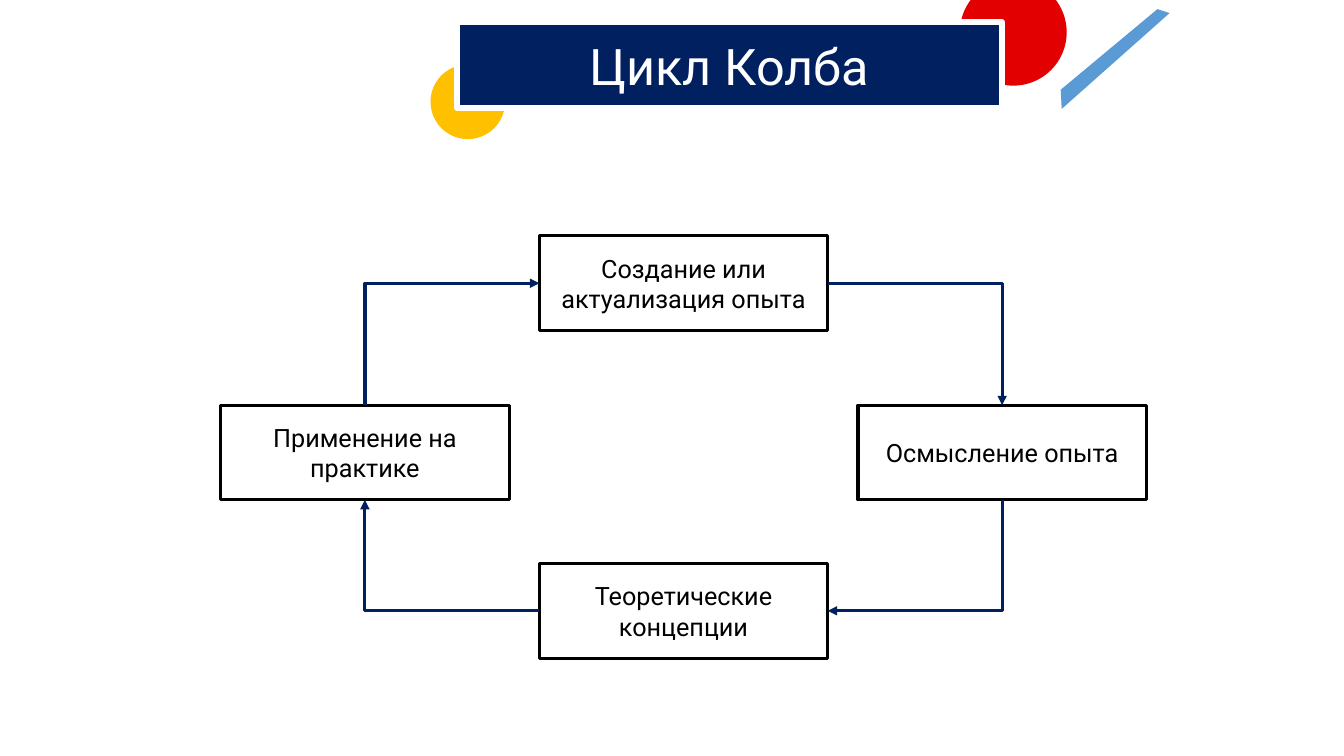
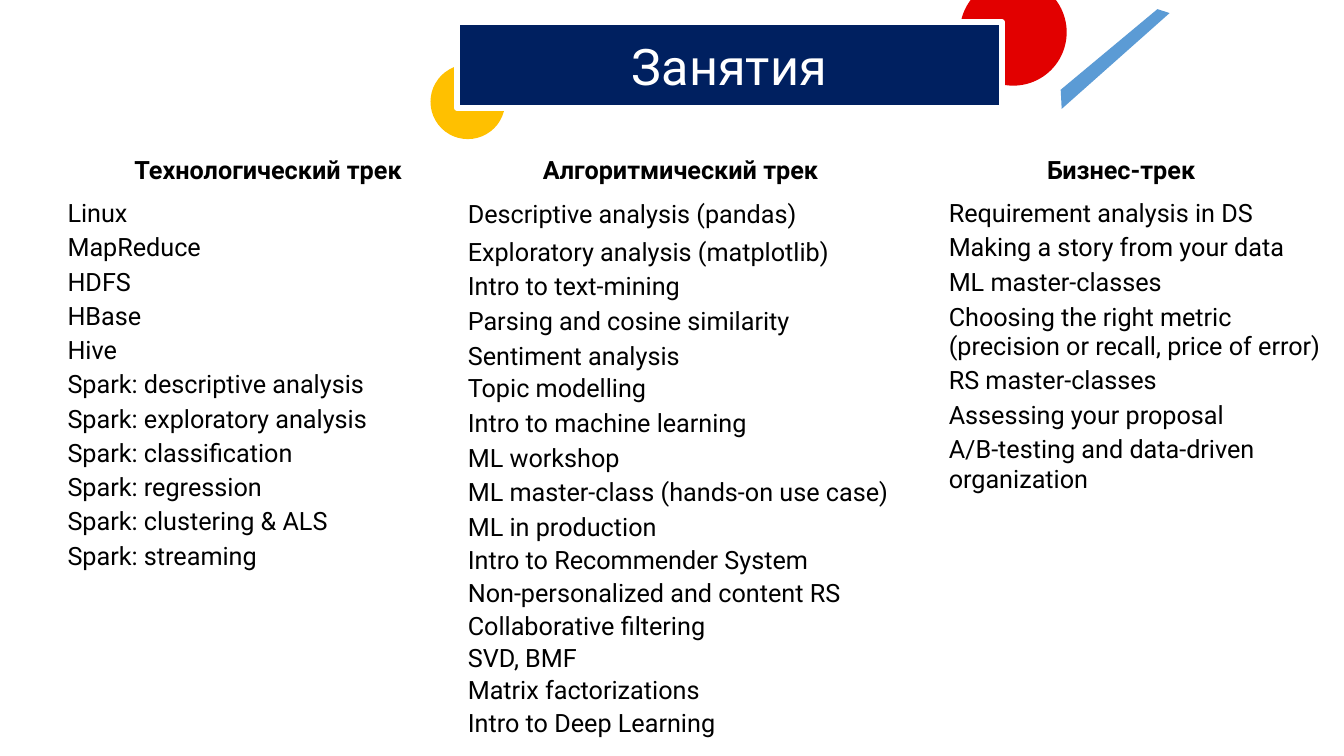
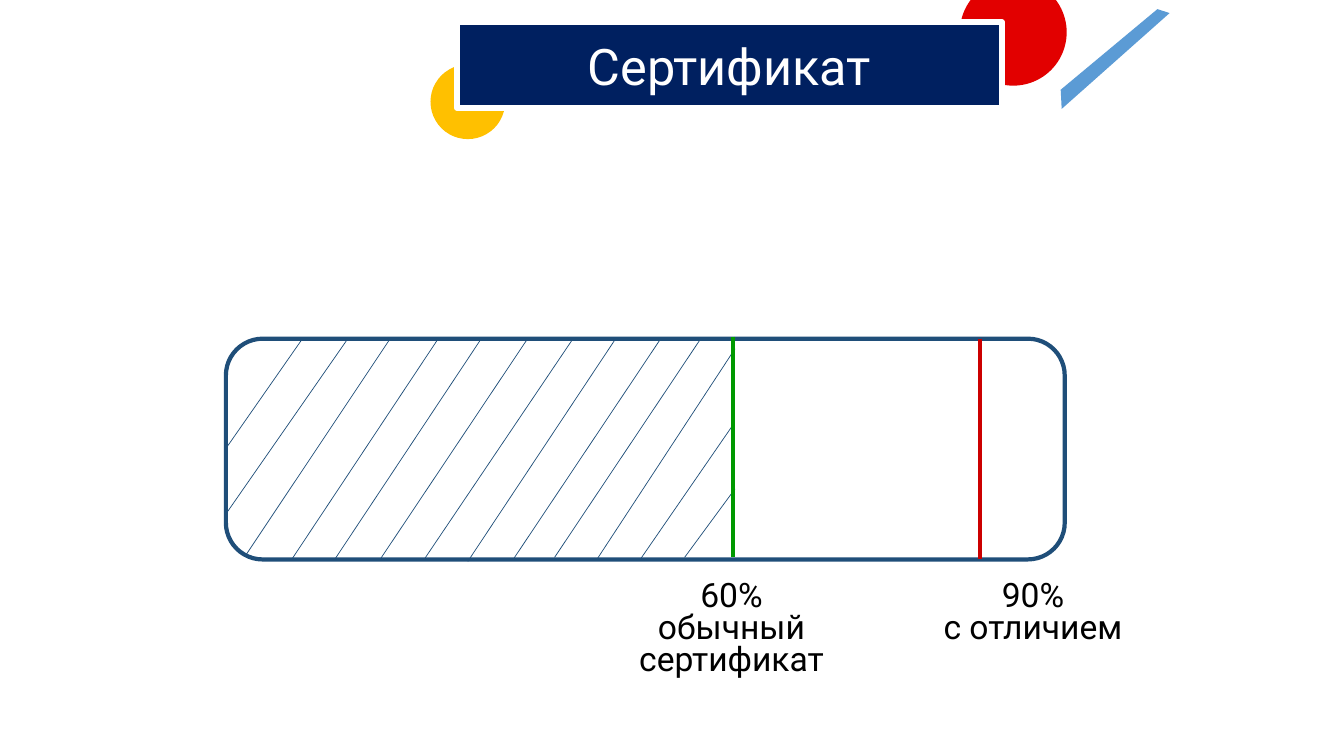
from pptx import Presentation
from pptx.dml.color import RGBColor
from pptx.enum.shapes import MSO_CONNECTOR, MSO_SHAPE
from pptx.enum.text import MSO_ANCHOR, MSO_AUTO_SIZE, PP_ALIGN
from pptx.oxml.ns import qn
from pptx.util import Inches, Pt
from lxml.etree import SubElement

FONT = "Roboto"
NAVY, STEEL, SKY = "002060", "1F4E79", "5B9BD5"
AMBER, RED = "FFC000", "E20000"
PASS_GREEN, HONOURS_RED = "009900", "CC0000"
BLACK, WHITE = "000000", "FFFFFF"

BANNER = (4.53, 0.22, 5.41, 0.85)
STRIPE = [(11.48, 0.09), (11.6, 0.13), (10.53, 1.08), (10.52, 0.89)]
TOP, LEFT, BOTTOM, RIGHT = range(4)

ROW = 0.34
SHORT, MEDIUM, TALL = 0.32, 0.33, 0.37
TECHNOLOGY = [
    "Linux", "MapReduce", "HDFS", "HBase", "Hive",
    "Spark: descriptive analysis", "Spark: exploratory analysis",
    "Spark: classification", "Spark: regression",
    "Spark: clustering & ALS", "Spark: streaming",
]
ALGORITHMS = [
    ("Descriptive analysis (pandas)", TALL),
    ("Exploratory analysis (matplotlib)", TALL),
    ("Intro to text-mining", SHORT),
    ("Parsing and cosine similarity", TALL),
    ("Sentiment analysis", SHORT),
    ("Topic modelling", SHORT),
    ("Intro to machine learning", TALL),
    ("ML workshop", SHORT),
    ("ML master-class (hands-on use case)", TALL),
    ("ML in production", SHORT),
    ("Intro to Recommender System", MEDIUM),
    ("Non-personalized and content RS", MEDIUM),
    ("Collaborative filtering", SHORT),
    ("SVD, BMF", SHORT),
    ("Matrix factorizations", SHORT),
    ("Intro to Deep Learning", SHORT),
]
BUSINESS = [
    "Requirement analysis in DS", "Making a story from your data",
    "ML master-classes",
    "Choosing the right metric (precision or recall, price of error)",
    "RS master-classes", "Assessing your proposal",
    "A/B-testing and data-driven organization",
]

# Lower and upper end of each hatch line, from the bar's top left corner
HATCHING = [
    (0, 1.09, 0.76, 0), (0, 1.74, 1.21, 0), (0.19, 2.16, 1.63, 0),
    (0.66, 2.18, 2.1, 0.01), (1.08, 2.19, 2.52, 0.02),
    (1.53, 2.19, 2.98, 0.02), (1.96, 2.2, 3.43, 0.02),
    (2.4, 2.21, 3.86, 0.01), (2.85, 2.19, 4.3, 0.02),
    (3.26, 2.17, 4.71, 0), (3.68, 2.19, 5.05, 0.1),
    (4.11, 2.19, 5.02, 0.87), (4.55, 2.17, 5.05, 1.49),
]


def rgb(value):
    return RGBColor.from_string(value)


def inches(*lengths):
    return [Inches(length) for length in lengths]


def paint(shape, fill=None, line=None, weight=1):
    if fill:
        shape.fill.solid()
        shape.fill.fore_color.rgb = rgb(fill)
    else:
        shape.fill.background()
    if line:
        shape.line.color.rgb = rgb(line)
        shape.line.width = Pt(weight)
    else:
        shape.line.fill.background()


def add_block(slide, preset, box, **look):
    block = slide.shapes.add_shape(preset, *inches(*box))
    block.shadow.inherit = False
    paint(block, **look)
    return block


def write(frame, lines, size, color=BLACK, bold=False,
          align=PP_ALIGN.CENTER, spacing=None):
    frame.word_wrap = True
    for index, line in enumerate(lines):
        paragraph = frame.add_paragraph() if index else frame.paragraphs[0]
        paragraph.alignment = align
        if spacing:
            paragraph.line_spacing = spacing
        run = paragraph.add_run()
        run.text = line
        run.font.name, run.font.size, run.font.bold = FONT, Pt(size), bold
        run.font.color.rgb = rgb(color)


def add_label(slide, box, lines, size, **style):
    label = slide.shapes.add_textbox(*inches(*box))
    write(label.text_frame, lines, size, **style)


def style_connector(connector, color, weight):
    connector.line.color.rgb = rgb(color)
    connector.line.width = Pt(weight)
    SubElement(connector.element.spPr, qn("a:effectLst"))


def add_line(slide, ends, color, weight):
    line = slide.shapes.add_connector(MSO_CONNECTOR.STRAIGHT, *inches(*ends))
    style_connector(line, color, weight)


def add_titled_slide(prs, heading):
    slide = prs.slides.add_slide(prs.slide_layouts[5])
    (start_x, start_y), *corners = STRIPE
    builder = slide.shapes.build_freeform(
        Inches(start_x), Inches(start_y))
    builder.add_line_segments([inches(*corner) for corner in corners])
    stripe = builder.convert_to_shape()
    stripe.shadow.inherit = False
    paint(stripe, SKY)
    add_block(slide, MSO_SHAPE.OVAL, (4.27, 0.64, 0.74, 0.74), fill=AMBER)
    add_block(slide, MSO_SHAPE.OVAL, (9.52, -0.21, 1.06, 1.06), fill=RED)

    banner = slide.shapes.title
    banner.left, banner.top, banner.width, banner.height = inches(*BANNER)
    paint(banner, NAVY, WHITE, 4)
    banner.text_frame.auto_size = MSO_AUTO_SIZE.NONE
    banner.text_frame.vertical_anchor = MSO_ANCHOR.MIDDLE
    write(banner.text_frame, [heading], 36, WHITE)
    slide.shapes.element.append(banner.element)  # in front of the circles
    return slide


def add_corner_arrow(slide, source, source_side, target, target_side):
    """Join two boxes by an arrow with a single right-angled turn."""
    arrow = slide.shapes.add_connector(MSO_CONNECTOR.ELBOW, 0, 0, 0, 0)
    arrow.begin_connect(source, source_side)
    arrow.end_connect(target, target_side)
    properties = arrow.element.spPr
    properties.find(qn("a:prstGeom")).set("prst", "bentConnector2")
    if source_side in (TOP, BOTTOM):
        # The preset starts horizontally, so a vertical start needs a turn
        left, top, width, height = (
            arrow.left, arrow.top, arrow.width, arrow.height)
        arrow.left = left + (width - height) // 2
        arrow.top = top + (height - width) // 2
        arrow.width, arrow.height = height, width
        frame = properties.find(qn("a:xfrm"))
        for flip in ("flipH", "flipV"):
            frame.attrib.pop(flip, None)
        quarter_turns = 1 if source_side == BOTTOM else 3
        frame.set("rot", str(quarter_turns * 90 * 60000))
    style_connector(arrow, NAVY, 2.25)
    SubElement(arrow.line._get_or_add_ln(), qn("a:tailEnd"), type="triangle")


def add_cycle(slide, box):
    left, top, width, height = box
    stage_w, stage_h = 2.86, 0.94
    middle_x = left + (width - stage_w) / 2
    middle_y = top + 1.68

    def add_stage(x, y, text):
        stage = add_block(slide, MSO_SHAPE.RECTANGLE, (x, y, stage_w, stage_h),
                          fill=WHITE, line=BLACK, weight=2.25)
        write(stage.text_frame, [text], 18)
        return stage

    experience = add_stage(middle_x, top, "Создание или актуализация опыта")
    reflection = add_stage(left + width - stage_w, middle_y,
                           "Осмысление опыта")
    theory = add_stage(middle_x, top + height - stage_h,
                       "Теоретические концепции")
    practice = add_stage(left, middle_y, "Применение на практике")
    add_corner_arrow(slide, experience, RIGHT, reflection, TOP)
    add_corner_arrow(slide, reflection, BOTTOM, theory, RIGHT)
    add_corner_arrow(slide, theory, LEFT, practice, BOTTOM)
    add_corner_arrow(slide, practice, TOP, experience, LEFT)


def add_track(slide, box, heading, heading_left, lessons, anchor, inset):
    """Place a heading and a one-column table of (lesson, row height)."""
    left, top, width = box
    add_label(slide, (heading_left, top, 3.36, 0.4), [heading], 18, bold=True)
    total = sum(height for _, height in lessons)
    table = slide.shapes.add_table(
        len(lessons), 1, *inches(left, top + 0.47, width, total)).table
    table.first_row = table.horz_banding = False
    for index, (lesson, height) in enumerate(lessons):
        table.rows[index].height = Inches(height)
        cell = table.cell(index, 0)
        cell.fill.background()
        cell.vertical_anchor = anchor
        cell.margin_left = cell.margin_right = Inches(0.01)
        cell.margin_top = cell.margin_bottom = Inches(inset)
        write(cell.text_frame, [lesson], 18, align=PP_ALIGN.LEFT)


def add_score_bar(slide, box):
    left, top, _, height = box
    add_block(slide, MSO_SHAPE.ROUNDED_RECTANGLE, box, line=STEEL, weight=3)
    for low_x, low_y, high_x, high_y in HATCHING:
        add_line(slide, (left + low_x, top + low_y,
                         left + high_x, top + high_y), STEEL, 0.5)
    thresholds = [
        (5.03, -0.02, PASS_GREEN, 3.26, ["60%", "обычный сертификат"]),
        (7.48, 0, HONOURS_RED, 6.25, ["90%", "с отличием"]),
    ]
    for mark_x, shift, color, label_x, lines in thresholds:
        x, y = left + mark_x, top + shift
        add_line(slide, (x, y, x, y + height), color, 3)
        add_label(slide, (left + label_x, top + 2.36, 3.51, 0.77),
                  lines, 24, spacing=0.8)


def main():
    prs = Presentation()
    prs.slide_width, prs.slide_height = inches(13.33, 7.5)

    add_cycle(add_titled_slide(prs, "Цикл Колба"), (2.19, 2.34, 9.18, 4.19))

    lessons = add_titled_slide(prs, "Занятия")
    add_track(lessons, (4.63, 1.48, 4.24), "Алгоритмический трек", 5.07,
              ALGORITHMS, MSO_ANCHOR.MIDDLE, 0.01)
    add_track(lessons, (0.66, 1.48, 3.97), "Технологический трек", 0.98,
              [(name, ROW) for name in TECHNOLOGY], MSO_ANCHOR.BOTTOM, 0.02)
    add_track(lessons, (9.4, 1.48, 3.85), "Бизнес-трек", 9.44,
              [(name, ROW) for name in BUSINESS], MSO_ANCHOR.BOTTOM, 0.02)

    add_score_bar(add_titled_slide(prs, "Сертификат"),
                  (2.24, 3.36, 8.32, 2.19))
    prs.save("out.pptx")


if __name__ == "__main__":
    main()
